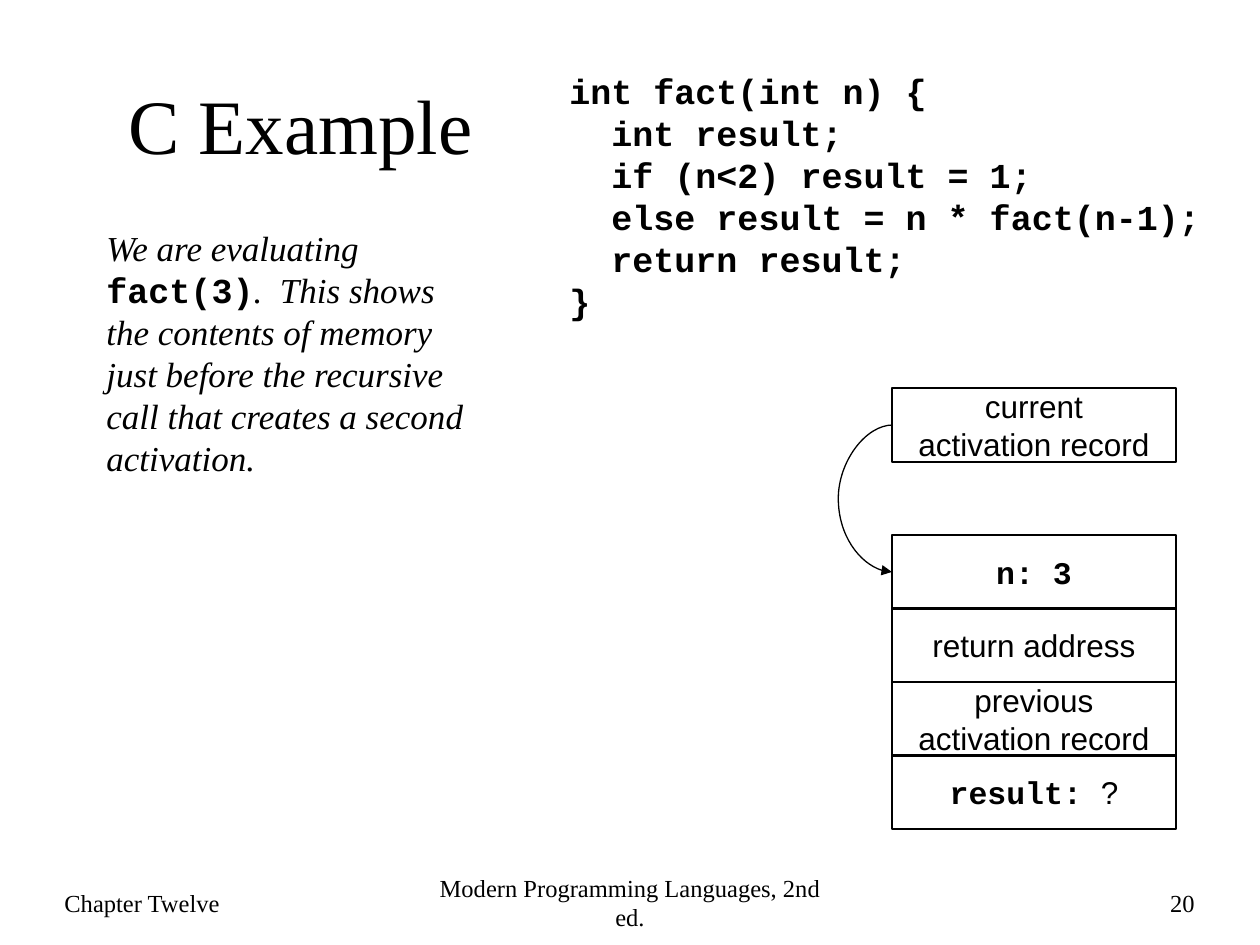
import pptx
import pptx.dml.color
import pptx.enum.shapes
import pptx.enum.text
import pptx.oxml
import pptx.oxml.ns
import pptx.util

BLACK = pptx.dml.color.RGBColor(0, 0, 0)
WHITE = pptx.dml.color.RGBColor(255, 255, 255)
SERIF, SANS, MONO = "Times New Roman", "Arial", "Courier New"
LEFT, CENTER, RIGHT = (
    pptx.enum.text.PP_ALIGN.LEFT,
    pptx.enum.text.PP_ALIGN.CENTER,
    pptx.enum.text.PP_ALIGN.RIGHT,
)
TOP = pptx.enum.text.MSO_ANCHOR.TOP
MIDDLE = pptx.enum.text.MSO_ANCHOR.MIDDLE
EMU_PER_PX = 914400 // 126

CODE = """int fact(int n) {
  int result;
  if (n<2) result = 1;
  else result = n * fact(n-1);
  return result;
}"""


class SlideBuilder:
    """Draws text, record cells and pointers on one slide in a shared style."""

    def __init__(self, presentation):
        self.slide = presentation.slides.add_slide(presentation.slide_layouts[6])
        self.slide.background.fill.solid()
        self.slide.background.fill.fore_color.rgb = WHITE

    def px(self, *lengths):
        return [pptx.util.Emu(length * EMU_PER_PX) for length in lengths]

    def fill_text(self, shape, runs, size, align, anchor):
        frame = shape.text_frame
        frame.word_wrap = True
        frame.vertical_anchor = anchor
        paragraph = frame.paragraphs[0]
        paragraph.alignment = align
        paragraph.font.size = pptx.util.Pt(size)
        paragraph.font.color.rgb = BLACK
        for text, face, bold, slanted in runs:
            for number, line in enumerate(text.split("\n")):
                if number:
                    paragraph.add_line_break()
                run = paragraph.add_run()
                run.text = line
                font = paragraph.font if len(runs) == 1 else run.font
                font.name, font.bold, font.italic = face, bold, slanted

    def text(self, box, runs, size, align=LEFT, anchor=MIDDLE):
        textbox = self.slide.shapes.add_textbox(*self.px(*box))
        self.fill_text(textbox, runs, size, align, anchor)

    def cell(self, box, runs):
        cell = self.slide.shapes.add_shape(
            pptx.enum.shapes.MSO_SHAPE.RECTANGLE, *self.px(*box)
        )
        cell.shadow.inherit = False
        cell.fill.background()
        cell.line.color.rgb = BLACK
        cell.line.width = pptx.util.Pt(0.75)
        self.fill_text(cell, runs, 18, CENTER, MIDDLE)

    def pointer(self, start, end, bulge):
        pointer = self.slide.shapes.add_connector(
            pptx.enum.shapes.MSO_CONNECTOR.CURVE, *self.px(*start, *end)
        )
        pointer.line.color.rgb = BLACK
        pointer.line.width = pptx.util.Pt(0.75)
        properties = pointer.element.spPr
        qn = pptx.oxml.ns.qn
        namespace = pptx.oxml.ns.nsdecls("a")
        bend = bulge * 100000 // (start[0] - end[0])
        properties.find(qn("a:prstGeom")).find(qn("a:avLst")).append(
            pptx.oxml.parse_xml(f'<a:gd {namespace} name="adj1" fmla="val {bend}"/>')
        )
        properties.find(qn("a:ln")).append(
            pptx.oxml.parse_xml(f'<a:tailEnd {namespace} type="triangle"/>')
        )
        properties.append(pptx.oxml.parse_xml(f"<a:effectLst {namespace}/>"))


def plain(text, face):
    return text, face, False, False


def code(text):
    return text, MONO, True, False


def italic(text):
    return text, SERIF, False, True


def main():
    presentation = pptx.Presentation()
    presentation.slide_width = pptx.util.Inches(10)
    presentation.slide_height = pptx.util.Inches(7.5)
    builder = SlideBuilder(presentation)

    builder.text((116, 47, 1071, 153), [plain("C Example", SERIF)], 44)
    footers = [
        (52, 284, "Chapter Twelve", LEFT),
        (420, 420, "Modern Programming Languages, 2nd ed.", CENTER),
        (945, 262, "20", RIGHT),
    ]
    for left, width, label, align in footers:
        builder.text((left, 871, width, 63), [plain(label, SERIF)], 14, align)

    builder.text((557, 63, 672, 265), [code(CODE)], 20, anchor=TOP)
    explanation = [
        italic("We are evaluating "),
        code("fact(3)"),
        italic(
            ".  This shows the contents of memory just before the recursive "
            "call that creates a second activation."
        ),
    ]
    builder.text((94, 220, 400, 265), explanation, 20, anchor=TOP)

    cell_left, cell_width, cell_height = 892, 284, 74
    records = {
        0: [plain("current\nactivation record", SANS)],
        2: [code("n: 3")],
        3: [plain("return address", SANS)],
        4: [plain("previous activation record", SANS)],
        5: [code("result: "), plain("?", SANS)],
    }
    for row, runs in records.items():
        top = 388 + row * 147 // 2
        builder.cell((cell_left, top, cell_width, cell_height), runs)
    builder.pointer((cell_left + 1, 425), (cell_left, 572), 55)

    presentation.save("out.pptx")


if __name__ == "__main__":
    main()
